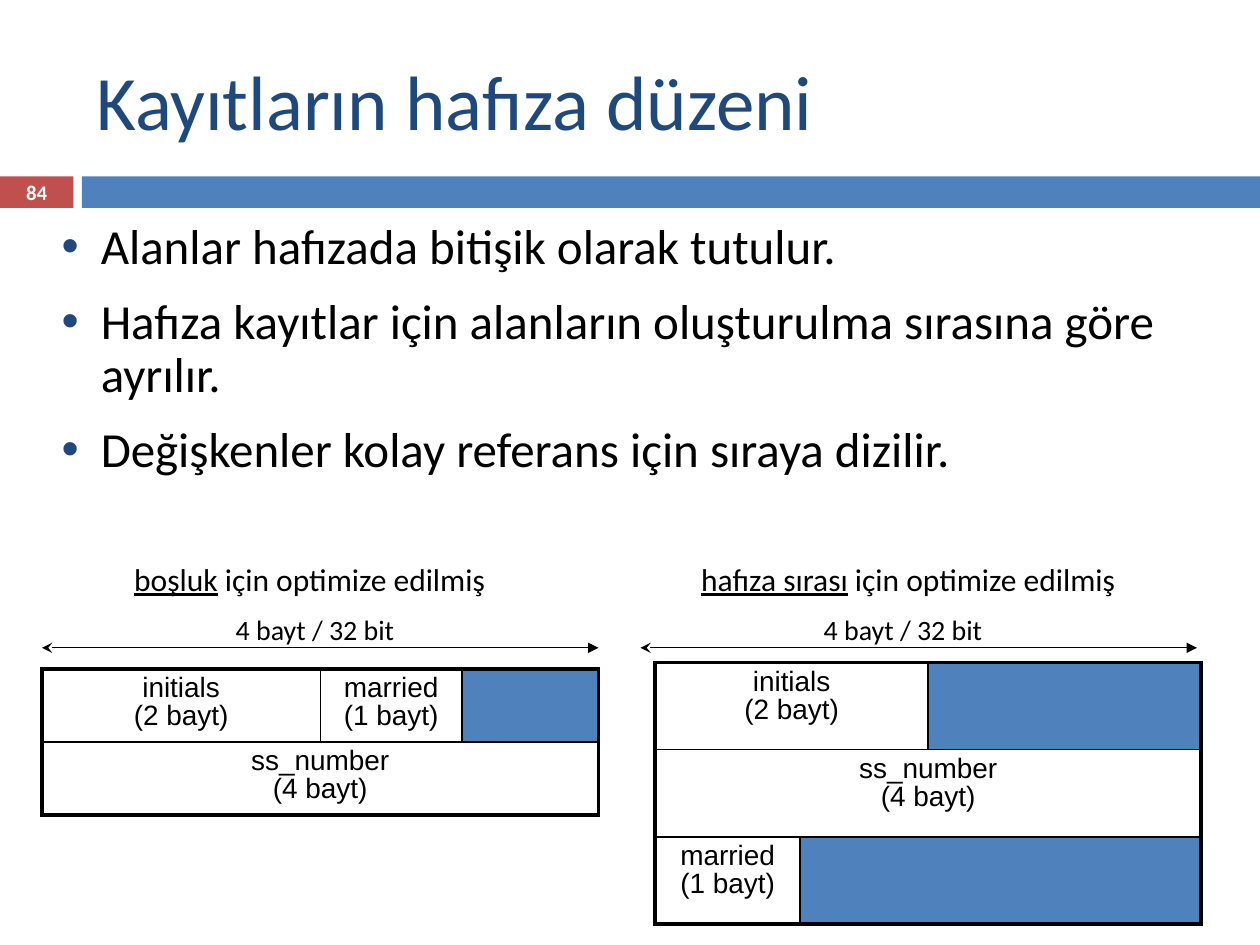
from dataclasses import dataclass

from lxml import etree
from pptx import Presentation
from pptx import util as u
from pptx.dml.color import RGBColor
from pptx.enum import shapes, text
from pptx.oxml.ns import qn

GRID = u.Inches(1) / 12  # the slide is 120 columns by 90 rows


@dataclass(frozen=True)
class Theme:
    blue: str = "4F81BD"
    red: str = "C0504D"
    navy: str = "1F497D"
    black: str = "000000"
    white: str = "FFFFFF"
    face: str = "Calibri"
    table_face: str = "Arial"
    title: float = 44
    body: float = 28
    caption: float = 18
    label: float = 16
    number: float = 11.9
    outer_line: float = 2.25
    inner_line: float = 1


THEME = Theme()


@dataclass(frozen=True)
class Box:
    left: float
    top: float
    width: float
    height: float

    def inner(self, left, top, width, height):
        return Box(self.left + left, self.top + top, width, height)

    def lengths(self):
        return [grid(n) for n in (self.left, self.top, self.width, self.height)]


def grid(units):
    return u.Emu(round(units * GRID))


def add_xml(parent, tag, index=None, **attributes):
    node = etree.Element(qn(tag), **attributes)
    parent.insert(len(parent) if index is None else index, node)
    return node


def set_font(para, size, colour=THEME.black, face=THEME.face, bold=False):
    para.font.name, para.font.size, para.font.bold = face, u.Pt(size), bold
    para.font.color.rgb = RGBColor.from_string(colour)


def add_text(page, box, lines, size, colour=THEME.black, bold=False,
             align=text.PP_ALIGN.LEFT, anchor=text.MSO_ANCHOR.TOP):
    """Each line is a list of (words, underlined) spans."""
    frame = page.shapes.add_textbox(*box.lengths()).text_frame
    frame.word_wrap, frame.vertical_anchor = True, anchor
    for index, line in enumerate(lines):
        para = frame.add_paragraph() if index else frame.paragraphs[0]
        para.alignment = align
        set_font(para, size, colour, bold=bold)
        for words, underlined in line:
            span = para.add_run()
            span.text = words
            if underlined:
                span.font.underline = True
    return frame


def add_bar(page, box, colour):
    bar = page.shapes.add_shape(shapes.MSO_SHAPE.RECTANGLE, *box.lengths())
    bar.shadow.inherit = False
    bar.fill.solid()
    bar.fill.fore_color.rgb = RGBColor.from_string(colour)
    bar.line.fill.background()


def add_header(page, box, title, number):
    add_bar(page, box.inner(0, 16.8, 7, 3), THEME.red)
    add_bar(page, box.inner(7.8, 16.8, box.width - 7.8, 3), THEME.blue)
    add_text(page, box.inner(8, 3, 107, 13), [[(title, False)]], THEME.title,
             THEME.navy, anchor=text.MSO_ANCHOR.MIDDLE)
    frame = add_text(page, box.inner(0, 16.7, 7, 3.2), [[(number, False)]],
                     THEME.number, THEME.white, True,
                     text.PP_ALIGN.CENTER, text.MSO_ANCHOR.MIDDLE)
    frame.margin_top = frame.margin_bottom = 0


def add_bullets(page, box, lines):
    frame = add_text(page, box, [[(line, False)] for line in lines], THEME.body)
    indent = u.Inches(0.31)
    for index, para in enumerate(frame.paragraphs):
        para.line_spacing = 0.9
        para.space_before = u.Pt(0.45 * THEME.body if index else 0)
        props = para._p.get_or_add_pPr()
        props.set("marL", str(indent))
        props.set("indent", str(-indent))
        at = props.index(props.find(qn("a:defRPr")))
        colour = add_xml(props, "a:buClr", at)
        add_xml(colour, "a:srgbClr", val=THEME.navy)
        add_xml(props, "a:buFont", at + 1, typeface="Arial")
        add_xml(props, "a:buChar", at + 2, char="•")


def add_arrow(page, box):
    left, top, width, _ = box.lengths()
    arrow = page.shapes.add_connector(
        shapes.MSO_CONNECTOR.STRAIGHT, left, top, left + width, top)
    arrow.line.width = u.Pt(0.75)
    arrow.line.color.rgb = RGBColor.from_string(THEME.black)
    line = arrow.line._get_or_add_ln()
    add_xml(line, "a:headEnd", type="stealth")
    add_xml(line, "a:tailEnd", type="triangle")
    add_xml(arrow._element.spPr, "a:effectLst")


def set_borders(cell, outer_sides):
    props = cell._tc.get_or_add_tcPr()
    for index, side in enumerate("LRTB"):
        points = THEME.outer_line if side in outer_sides else THEME.inner_line
        line = add_xml(props, f"a:ln{side}", index, w=str(u.Pt(points)))
        add_xml(add_xml(line, "a:solidFill"), "a:srgbClr", val=THEME.black)


def fill_cell(cell, lines):
    """A cell without lines is padding and is shown in blue."""
    cell.fill.solid()
    colour = THEME.white if lines else THEME.blue
    cell.fill.fore_color.rgb = RGBColor.from_string(colour)
    cell.text = "\n".join(lines)
    for para in cell.text_frame.paragraphs:
        para.alignment, para.line_spacing = text.PP_ALIGN.CENTER, 0.9
        set_font(para, THEME.label, face=THEME.table_face)


def add_memory_table(page, box, widths, rows):
    """Each row is a list of (lines, column span) fields."""
    table = page.shapes.add_table(len(rows), len(widths), *box.lengths()).table
    table.first_row = table.horz_banding = False
    for column, width in zip(table.columns, widths):
        column.width = grid(width)
    last_row, last_column = len(rows) - 1, len(widths) - 1
    for r, fields in enumerate(rows):
        table.rows[r].height = grid(box.height / len(rows))
        c = 0
        for lines, span in fields:
            if span > 1:
                table.cell(r, c).merge(table.cell(r, c + span - 1))
            fill_cell(table.cell(r, c), lines)
            for k in range(c, c + span):
                sides = {"L": c == 0, "R": c + span - 1 == last_column,
                         "T": r == 0, "B": r == last_row}
                set_borders(table.cell(r, k), [s for s in sides if sides[s]])
            c += span


def add_layout_panel(page, box, goal, label_left, table_box, widths, rows):
    centre = text.PP_ALIGN.CENTER
    add_memory_table(page, table_box, widths, rows)
    add_text(page, box.inner(0, 0, box.width, 4.8),
             [[(goal, True), (" için optimize edilmiş", False)]],
             THEME.caption, align=centre)
    add_arrow(page, box.inner(1, 9, box.width, 0))
    add_text(page, box.inner(label_left, 5, 28, 4.4),
             [[("4 bayt / 32 bit", False)]], THEME.label, align=centre)


def main():
    deck = Presentation()
    deck.slide_width, deck.slide_height = grid(120), grid(90)
    page = deck.slides.add_slide(deck.slide_layouts[6])

    add_header(page, Box(0, 0, 120, 20), "Kayıtların hafıza düzeni", "84")
    add_bullets(page, Box(4.7, 20.6, 108, 33), [
        "Alanlar hafızada bitişik olarak tutulur.",
        "Hafıza kayıtlar için alanların oluşturulma sırasına göre ayrılır.",
        "Değişkenler kolay referans için sıraya dizilir.",
    ])

    initials = ["initials", "(2 bayt)"]
    number = ["ss_number", "(4 bayt)"]
    married = ["married (1 bayt)"]
    padding = []
    left, right = Box(3, 52.7, 53, 37), Box(60, 52.7, 53, 37)
    add_layout_panel(
        page, left, "boşluk", 13, left.inner(1, 11, 53, 11.2),
        [26.5, 13.5, 13],
        [[(initials, 1), (married, 1), (padding, 1)], [(number, 3)]])
    add_layout_panel(
        page, right, "hafıza sırası", 12, right.inner(2.4, 10.4, 52, 24.9),
        [13.8, 12.2, 26],
        [[(initials, 2), (padding, 1)], [(number, 3)],
         [(married, 1), (padding, 2)]])

    deck.save("out.pptx")


if __name__ == "__main__":
    main()
